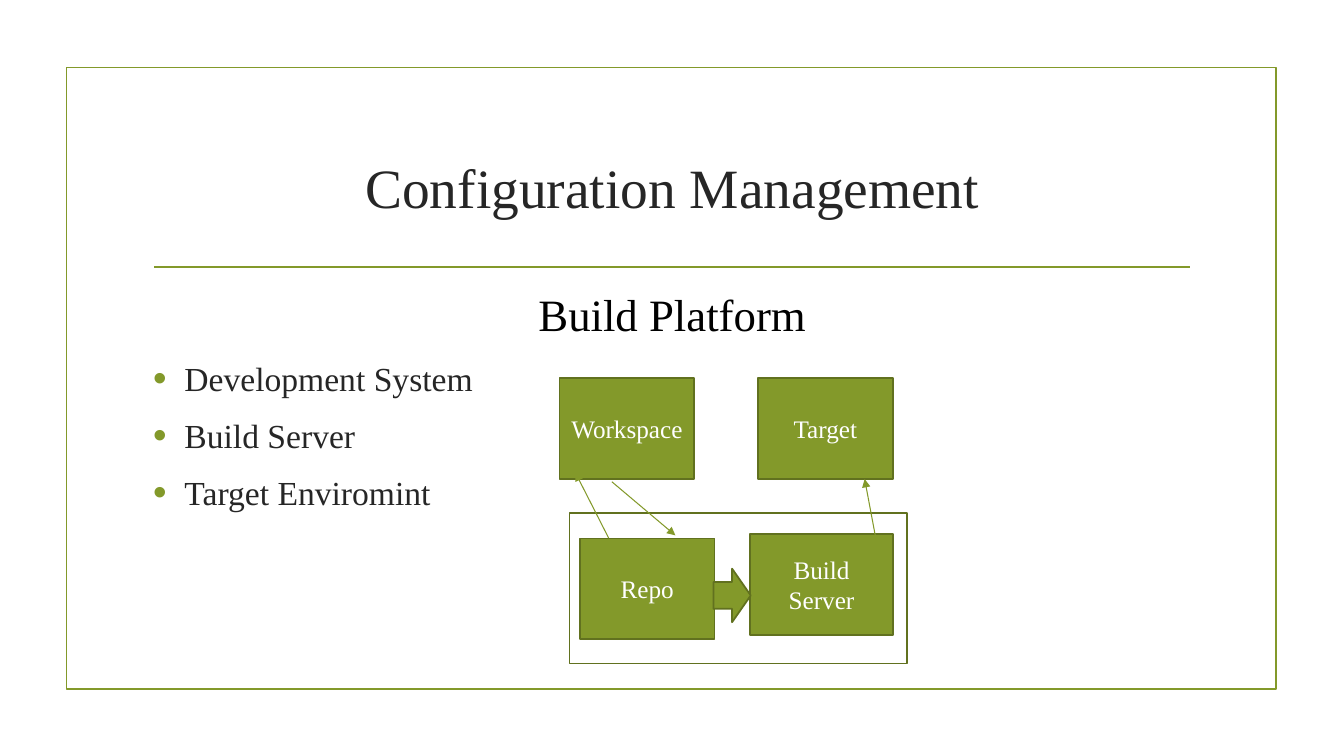
import dataclasses

import lxml.etree
import pptx
import pptx.dml.color
import pptx.enum.shapes
import pptx.enum.text
import pptx.oxml.ns
import pptx.util

Cm = pptx.util.Cm
Pt = pptx.util.Pt
Shapes = pptx.enum.shapes.MSO_SHAPE
Align = pptx.enum.text.PP_ALIGN
Anchor = pptx.enum.text.MSO_ANCHOR
qn = pptx.oxml.ns.qn

FONT = "Times New Roman"
COLOURS = {
    "olive": "83992A",
    "dark olive": "61711F",
    "charcoal": "262626",
    "black": "000000",
    "white": "FFFFFF",
}


@dataclasses.dataclass
class Block:
    left: float
    top: float
    width: float
    height: float
    label: str = ""
    preset: int = Shapes.RECTANGLE
    fill: str | None = "olive"
    outline: str = "dark olive"


@dataclasses.dataclass
class Stroke:
    start: tuple[float, float]
    end: tuple[float, float]
    weight: float = 0.75
    arrow: bool = True


FRAME = Block(1.68, 1.7, 30.48, 15.67, fill=None, outline="olive")
TITLE_RULE = Stroke((3.89, 6.73), (30, 6.73), weight=1.25, arrow=False)
PLATFORM_BLOCKS = [
    Block(14.1, 9.53, 3.4, 2.54, "Workspace"),
    Block(19.1, 9.53, 3.4, 2.54, "Target"),
    Block(14.61, 13.57, 3.4, 2.54, "Repo"),
    Block(18.9, 13.46, 3.61, 2.54, "Build Server"),
    Block(14.35, 12.93, 8.51, 3.79, fill=None),
    Block(17.98, 14.33, 0.94, 1.35, preset=Shapes.RIGHT_ARROW),
]
PLATFORM_FLOWS = [
    Stroke((15.42, 12.14), (17.02, 13.49)),
    Stroke((15.34, 13.56), (14.5, 11.91)),
    Stroke((22.07, 13.56), (21.79, 12.07)),
]
SYSTEMS = ["Development System", "Build Server", "Target Enviromint"]


def rgb(name: str) -> pptx.dml.color.RGBColor:
    """Return the named colour."""
    return pptx.dml.color.RGBColor.from_string(COLOURS[name])


def add_text(paragraph, text: str, size: float, colour: str) -> None:
    """Append one formatted run to a paragraph."""
    run = paragraph.add_run()
    run.text = text
    run.font.name = FONT
    run.font.size = Pt(size)
    run.font.color.rgb = rgb(colour)


def add_block(slide, block: Block) -> None:
    """Draw a block with its optional centred label."""
    shape = slide.shapes.add_shape(
        block.preset, Cm(block.left), Cm(block.top), Cm(block.width), Cm(block.height)
    )
    shape.shadow.inherit = False
    if block.fill:
        shape.fill.solid()
        shape.fill.fore_color.rgb = rgb(block.fill)
    else:
        shape.fill.background()
    shape.line.color.rgb = rgb(block.outline)
    shape.line.width = Pt(1.25)
    if block.label:
        shape.text_frame.vertical_anchor = Anchor.MIDDLE
        label = shape.text_frame.paragraphs[0]
        label.alignment = Align.CENTER
        add_text(label, block.label, 18, "white")


def add_stroke(slide, stroke: Stroke) -> None:
    """Draw a straight line, with an arrowhead when it is a flow."""
    connector = slide.shapes.add_connector(
        pptx.enum.shapes.MSO_CONNECTOR.STRAIGHT,
        *map(Cm, stroke.start + stroke.end),
    )
    connector.line.color.rgb = rgb("olive")
    connector.line.width = Pt(stroke.weight)
    if stroke.arrow:
        line = connector.line._get_or_add_ln()
        lxml.etree.SubElement(line, qn("a:tailEnd"), type="triangle")
    lxml.etree.SubElement(connector._element.spPr, qn("a:effectLst"))


def add_bullet(paragraph) -> None:
    """Give a paragraph a hanging olive bullet."""
    properties = paragraph._p.get_or_add_pPr()
    properties.set("marL", str(Cm(0.79)))
    properties.set("indent", str(Cm(-0.79)))
    colour = lxml.etree.SubElement(properties, qn("a:buClr"))
    lxml.etree.SubElement(colour, qn("a:srgbClr"), val=COLOURS["olive"])
    lxml.etree.SubElement(properties, qn("a:buSzPct"), val="115000")
    lxml.etree.SubElement(properties, qn("a:buFont"), typeface="Arial")
    lxml.etree.SubElement(properties, qn("a:buChar"), char="•")


def add_title(slide) -> None:
    """Place and fill the title placeholder."""
    title = slide.shapes.title
    title.left, title.top, title.width, title.height = map(Cm, (3.61, 2.72, 26.67, 3.63))
    title.text_frame.vertical_anchor = Anchor.MIDDLE
    title.text_frame.margin_top = Cm(0.43)
    heading = title.text_frame.paragraphs[0]
    heading.alignment = Align.CENTER
    add_text(heading, "Configuration Management", 39.6, "charcoal")


def add_systems(slide) -> None:
    """Write the subheading and the list of systems."""
    body = slide.shapes.add_textbox(Cm(3.61), Cm(7.11), Cm(26.67), Cm(9.22)).text_frame
    body.word_wrap = True
    subheading = body.paragraphs[0]
    subheading.alignment = Align.CENTER
    subheading.space_before = Pt(4)
    subheading.space_after = Pt(6)
    add_text(subheading, "Build Platform", 32, "black")
    for system in SYSTEMS:
        item = body.add_paragraph()
        item.space_before = item.space_after = Pt(6)
        add_bullet(item)
        add_text(item, system, 24, "charcoal")


def main() -> None:
    """Build and save the slide."""
    presentation = pptx.Presentation()
    presentation.slide_width = Cm(33.87)
    presentation.slide_height = Cm(19.05)
    slide = presentation.slides.add_slide(presentation.slide_layouts[5])
    slide.background.fill.solid()
    slide.background.fill.fore_color.rgb = rgb("white")
    add_block(slide, FRAME)
    add_stroke(slide, TITLE_RULE)
    add_title(slide)
    add_systems(slide)
    for block in PLATFORM_BLOCKS:
        add_block(slide, block)
    for flow in PLATFORM_FLOWS:
        add_stroke(slide, flow)
    presentation.save("out.pptx")


if __name__ == "__main__":
    main()
